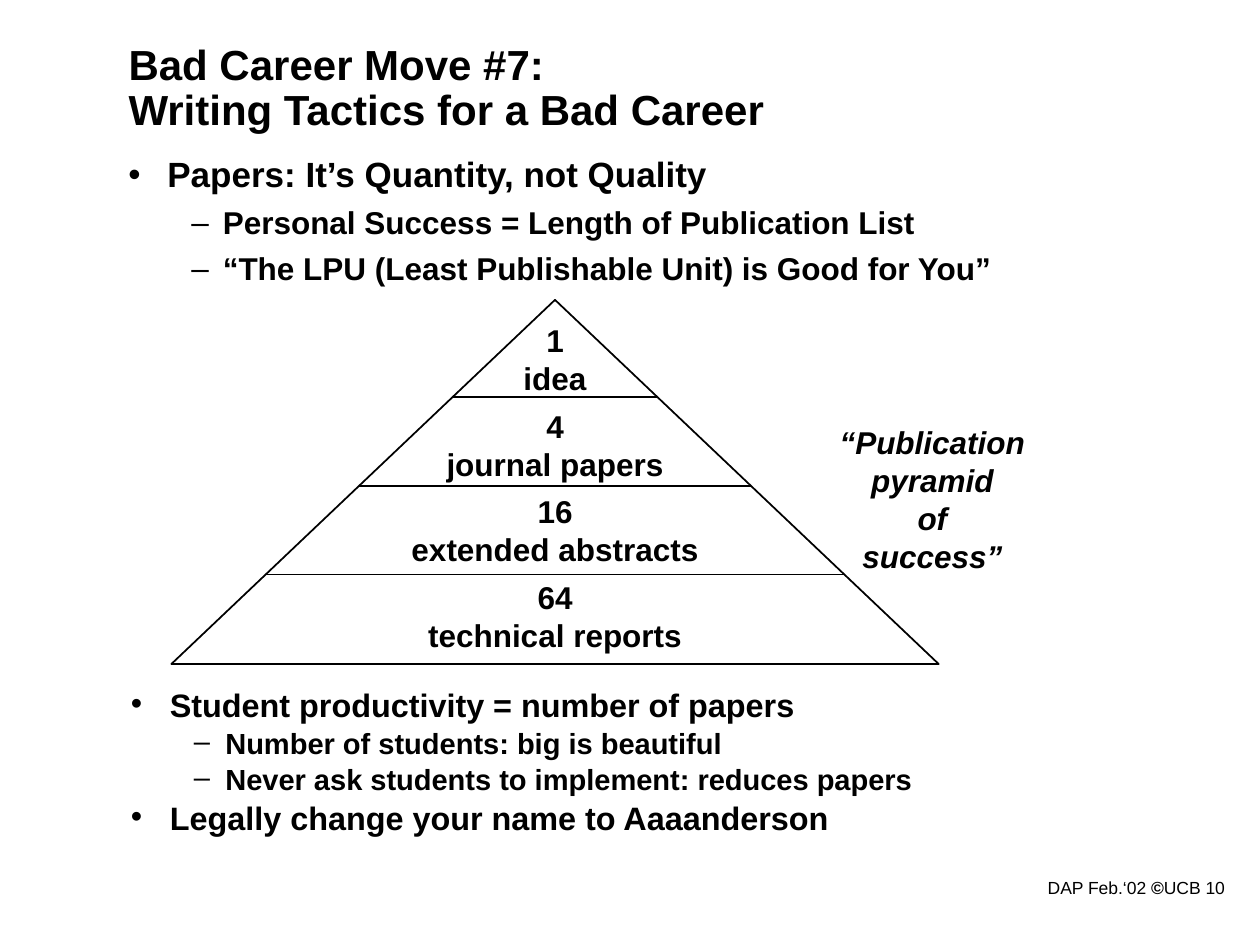
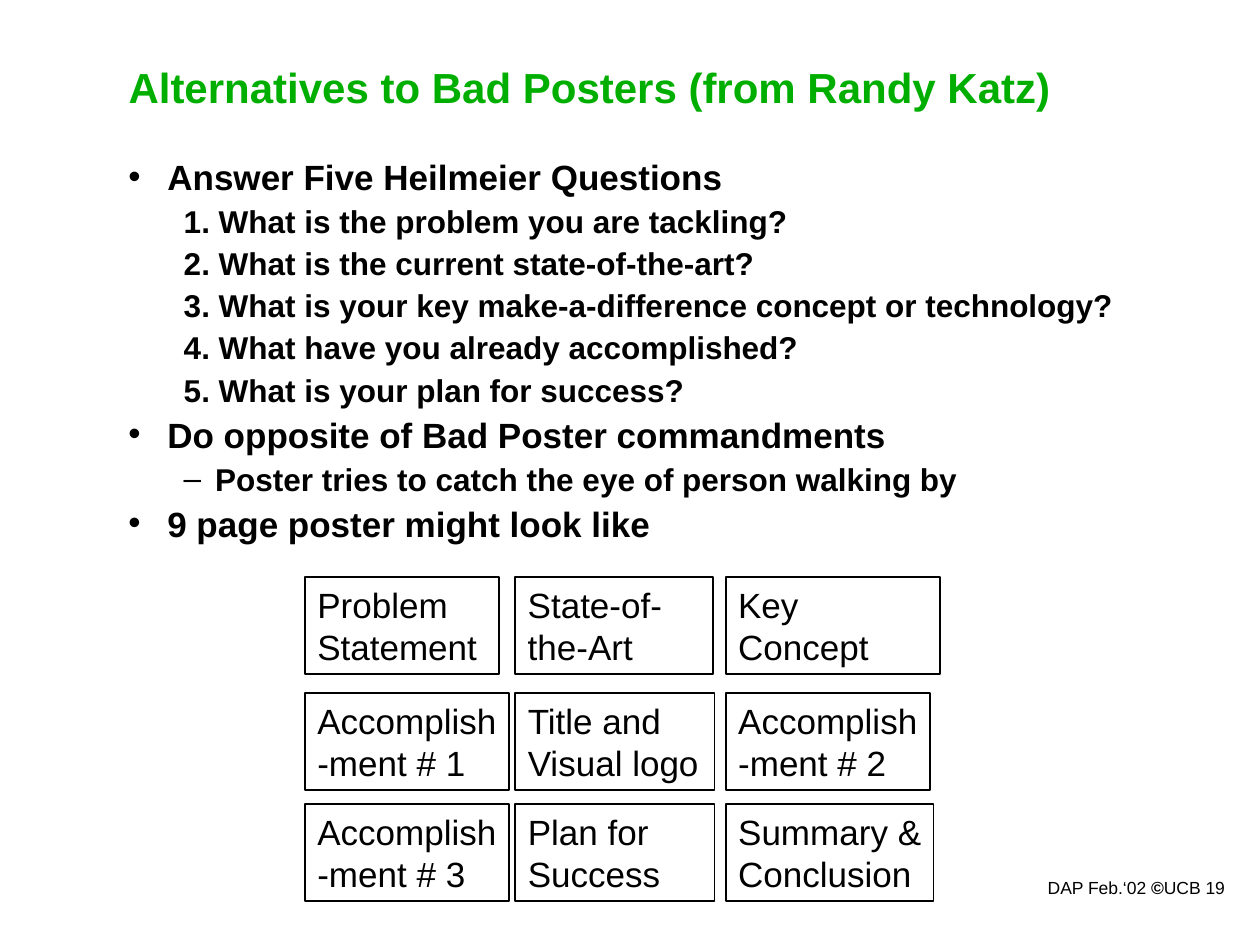
from pptx import Presentation
from pptx.dml.color import RGBColor
from pptx.enum.shapes import MSO_CONNECTOR as Conn, MSO_SHAPE as Shape
from pptx.enum.text import MSO_ANCHOR as Anchor, MSO_AUTO_SIZE as Auto, PP_ALIGN as Align
from pptx.oxml.ns import qn
from pptx.util import Inches, Pt
from lxml.etree import SubElement as sub

FONT = "Arial"
BLACK, WHITE, GREEN = "000000", "FFFFFF", "00AE00"
TITLE = (0.92, 0.5, 8.25, 0.42)
FOOTER = (7.74, 6.91, 2.08, 0.26)


def color(code):
    return RGBColor.from_string(code)


def place(box):
    return [Inches(n) for n in box]


def put(frame, text, size=18, bold=False, italic=False, ink=BLACK,
        align=Align.LEFT, lead=1.0, before=0):
    for line in text.split("\n"):
        para = frame.add_paragraph() if frame.text else frame.paragraphs[0]
        para.alignment = align
        para.line_spacing = lead
        para.space_before = Pt(before)
        for part in line.split("|"):
            run = para.add_run()
            run.text = part
            font = run.font
            font.name, font.size = FONT, Pt(size)
            font.bold, font.italic = bold, italic
            font.color.rgb = color(ink)
    return para


def setup(frame, anchor=Anchor.TOP, right=0.1):
    frame.word_wrap = True
    frame.auto_size = Auto.NONE
    frame.vertical_anchor = anchor
    frame.margin_left, frame.margin_right = Inches(0.1), Inches(right)
    frame.margin_top = frame.margin_bottom = Inches(0.05)
    return frame


def label(slide, box, text, **style):
    frame = setup(slide.shapes.add_textbox(*place(box)).text_frame)
    return put(frame, text, **style)


def figure(slide, kind, box, fill=None):
    shape = slide.shapes.add_shape(kind, *place(box))
    shape.shadow.inherit = False
    if fill:
        shape.fill.solid()
        shape.fill.fore_color.rgb = color(fill)
    else:
        shape.fill.background()
    shape.line.color.rgb = color(BLACK)
    shape.line.width = Pt(1)
    return shape


def rule(slide, left, right, top):
    line = slide.shapes.add_connector(Conn.STRAIGHT, *place((left, top, right, top)))
    line.line.color.rgb = color(BLACK)
    line.line.width = Pt(1)
    sub(line._element.spPr, qn("a:effectLst"))


def base(deck, title, page, ink=BLACK):
    slide = deck.slides.add_slide(deck.slide_layouts[5])
    head = slide.shapes.title
    head.left, head.top, head.width, head.height = place(TITLE)
    put(setup(head.text_frame, Anchor.MIDDLE), title, size=24, bold=True, ink=ink, lead=0.9)
    foot = label(slide, FOOTER, f"DAP Feb.‘02 |©|UCB {page}", size=10, align=Align.RIGHT)
    foot.runs[1].font.bold = True
    return slide


def outline(slide, box, items, sizes=(20, 18), lead=0.8, inner=0.75):
    frame = setup(slide.shapes.add_textbox(*place(box)).text_frame)
    for mark, text in items:
        level = 0 if mark == "•" else 1
        para = put(frame, text, size=sizes[level], bold=True, lead=lead,
                   before=(7.5, 6.8)[level])
        para.level = level
        props = para._p.get_or_add_pPr()
        left, hang = ((0.31, 0.31), (inner, 0.25))[level]
        props.set("marL", str(Inches(left)))
        props.set("indent", str(-Inches(hang)))
        if mark:
            sub(props, qn("a:buFont"), typeface=FONT)
            sub(props, qn("a:buChar"), char=mark)
        else:
            sub(props, qn("a:buNone"))


def pyramid(slide, box, tiers):
    left, top, width, height = box
    figure(slide, Shape.ISOSCELES_TRIANGLE, box, WHITE)
    mid, cap, step = left + width / 2, 0.77, 0.705
    for row, text in enumerate(tiers):
        label(slide, (left, top + 0.12 + row * 0.68, width, 0.7), text,
              bold=True, align=Align.CENTER)
        if row < len(tiers) - 1:
            drop = cap + row * step
            half = width / 2 * drop / height
            rule(slide, mid - half, mid + half, top + drop)


def poster(slide, left, top, rows):
    for drop, row in zip((0, 0.92, 1.8), rows):
        for col, (text, width) in enumerate(row):
            cell = figure(slide, Shape.RECTANGLE,
                          (left + col * 1.67, top + drop, width, 0.77))
            put(setup(cell.text_frame, right=0.03), text, size=20)


def tactics(deck):
    slide = base(deck, "Bad Career Move #7:\nWriting Tactics for a Bad Career", 10)
    outline(slide, (0.94, 5.47, 8.49, 1.28), [
        ("•", "Student productivity = number of papers"),
        ("–", "Number of students: big is beautiful"),
        ("–", "Never ask students to implement: reduces papers"),
        ("•", "Legally change your name to Aaaanderson"),
    ], sizes=(18.5, 16.6), lead=0.7)
    pyramid(slide, (1.36, 2.38, 6.09, 2.89), [
        "1\nidea", "4\njournal papers", "16\nextended abstracts", "64\ntechnical reports"])
    label(slide, (6.53, 3.31, 1.74, 1.3), "“Publication\npyramid\nof\nsuccess”",
          bold=True, italic=True, align=Align.CENTER)
    outline(slide, (0.92, 1.2, 8.63, 1.53), [
        ("•", "Papers: It’s Quantity, not Quality"),
        ("–", "Personal Success = Length of Publication List"),
        ("–", "“The LPU (Least Publishable Unit) is Good for You”"),
    ], lead=0.9)


def posters(deck):
    slide = base(deck, "Alternatives to Bad Posters (from Randy Katz)", 19, GREEN)
    outline(slide, (0.92, 1.25, 8.5, 3.08), [
        ("•", "Answer Five Heilmeier Questions"),
        ("", "1. What is the problem you are tackling?"),
        ("", "2. What is the current state-of-the-art?"),
        ("", "3. What is your key make-a-difference concept or technology?"),
        ("", "4. What have you already accomplished?"),
        ("", "5. What is your plan for success?"),
        ("•", "Do opposite of Bad Poster commandments"),
        ("–", "Poster tries to catch the eye of person walking by"),
        ("•", "9 page poster might look like"),
    ], inner=0.69)
    poster(slide, 2.42, 4.58, [
        [("Problem\nStatement", 1.54), ("State-of-\nthe-Art", 1.57), ("Key\nConcept", 1.7)],
        [("Accomplish\n-ment # 1", 1.62), ("Title and\nVisual logo", 1.58),
         ("Accomplish\n-ment # 2", 1.62)],
        [("Accomplish\n-ment # 3", 1.62), ("Plan for Success", 1.58),
         ("Summary &\nConclusion", 1.65)],
    ])


def main():
    deck = Presentation()
    deck.slide_width, deck.slide_height = Inches(10), Inches(7.5)
    tactics(deck)
    posters(deck)
    deck.save("out.pptx")


if __name__ == "__main__":
    main()
